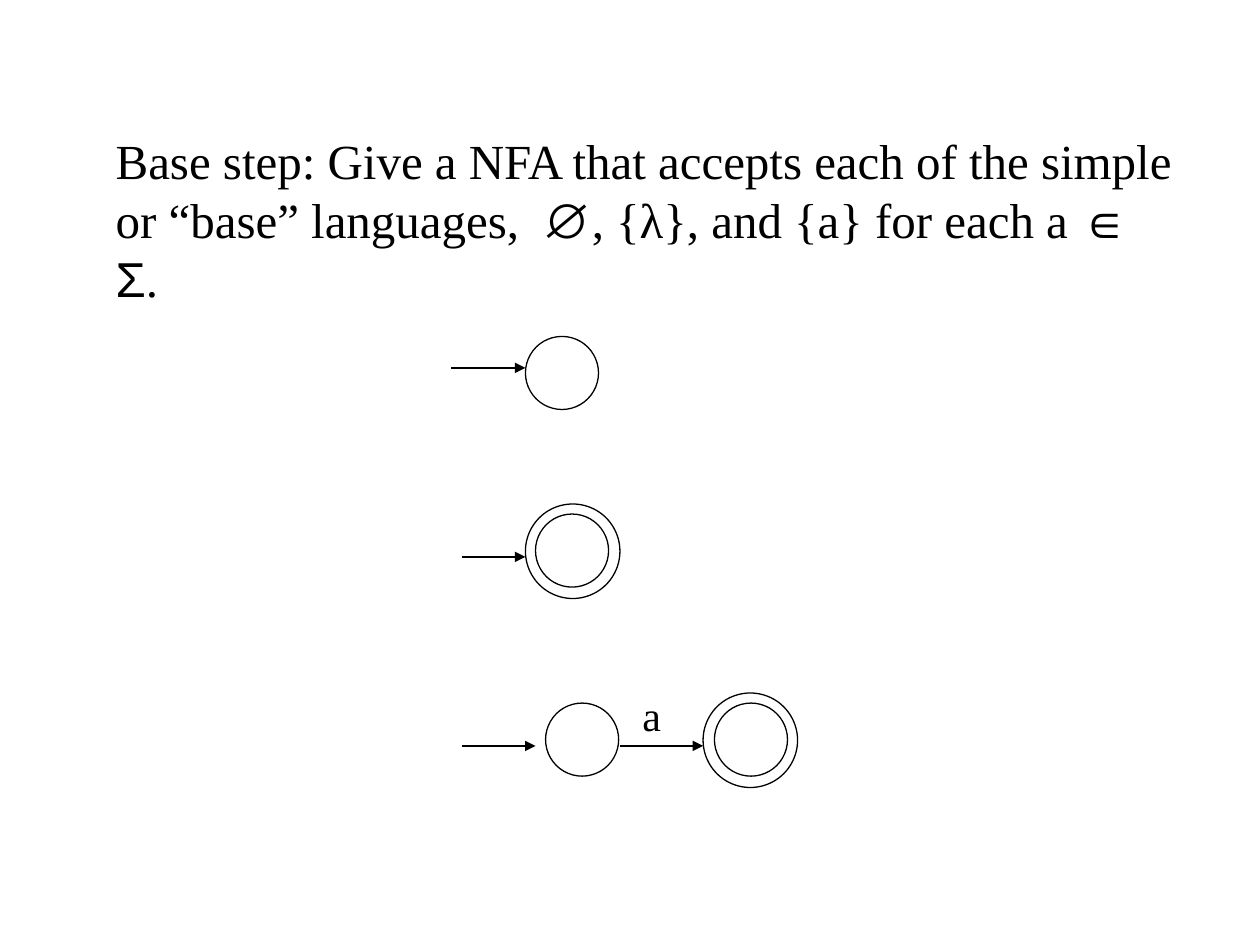
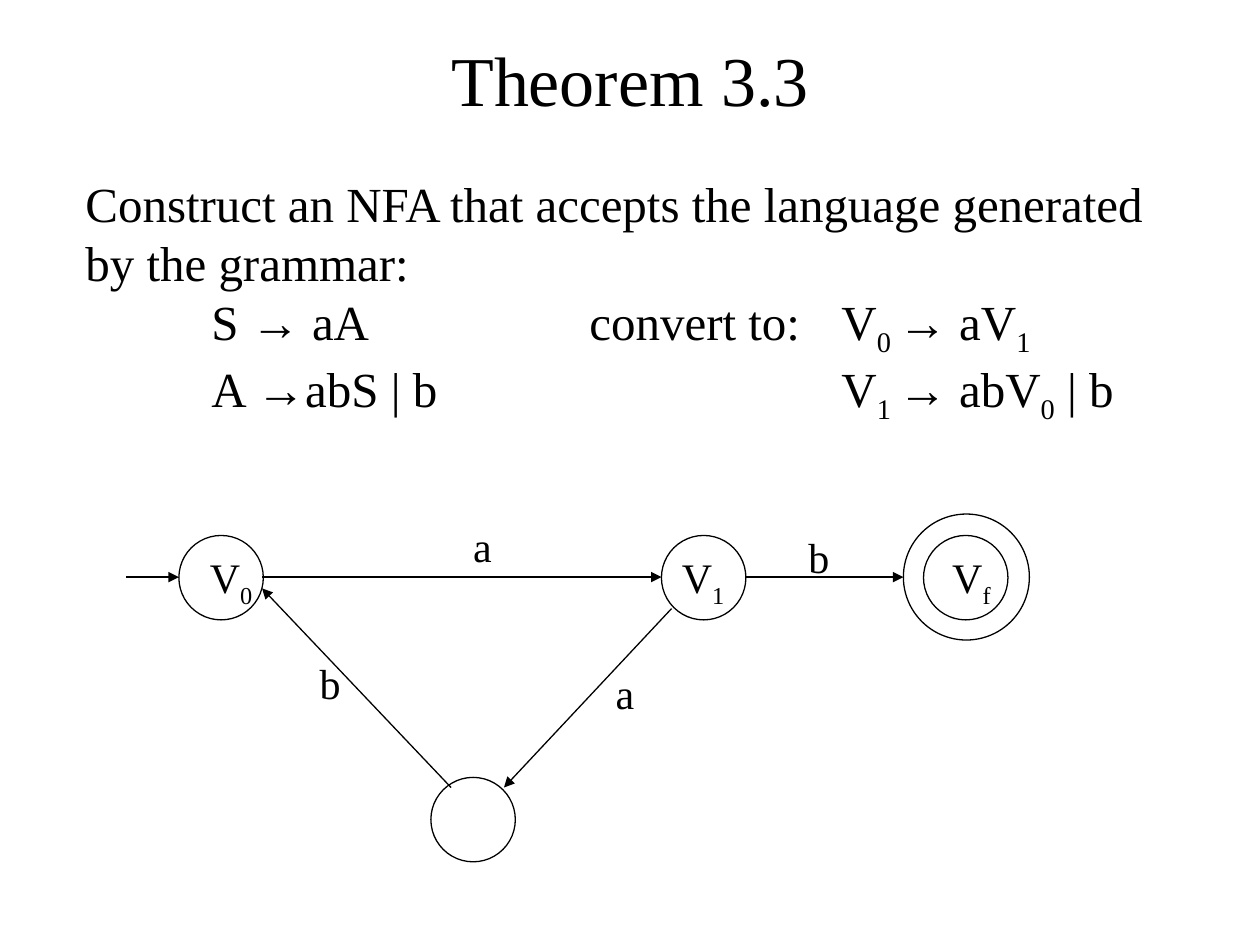
"""Build two slides that turn base languages and a grammar into NFAs."""
import lxml.etree
import pptx
import pptx.dml.color
import pptx.enum.shapes
import pptx.enum.text
import pptx.oxml.ns
import pptx.util

Inches = pptx.util.Inches
Pt = pptx.util.Pt
qn = pptx.oxml.ns.qn
ALIGN = pptx.enum.text.PP_ALIGN
BLACK, WHITE = "000000", "FFFFFF"
SERIF, SYMBOL = "Times New Roman", "Arial"
STATE = 0.67
SMALL_STATE = 0.58


def paint(fill, hex_colour):
    fill.solid()
    fill.fore_color.rgb = pptx.dml.color.RGBColor.from_string(hex_colour)


def write(paragraph, runs, size, align=ALIGN.LEFT):
    paragraph.alignment = align
    for text, style in runs:
        run = paragraph.add_run()
        run.text = text
        font_format = {"size": Pt(size), "name": SYMBOL if style == "symbol" else SERIF}
        for attribute, value in font_format.items():
            setattr(run.font, attribute, value)
        paint(run.font.fill, BLACK)
        if style == "sub":
            run.font._element.set("baseline", "-25000")


prs = pptx.Presentation()
prs.slide_width, prs.slide_height = Inches(10), Inches(7.5)
base_slide = prs.slides.add_slide(prs.slide_layouts[6])
theorem_slide = prs.slides.add_slide(prs.slide_layouts[5])

title = theorem_slide.shapes.title
title_place = {"left": 0.75, "top": 0, "width": 8.5, "height": 1.25}
for attribute, value in title_place.items():
    setattr(title, attribute, Inches(value))
title.text_frame.vertical_anchor = pptx.enum.text.MSO_ANCHOR.MIDDLE
write(title.text_frame.paragraphs[0], [("Theorem 3.3", "")], 40, ALIGN.CENTER)

states = [
    (base_slide, 4.17, 2.67, SMALL_STATE, None),
    (base_slide, 4.25, 4.08, SMALL_STATE, None),
    (base_slide, 4.17, 4, 0.75, None),
    (base_slide, 4.33, 5.58, SMALL_STATE, None),
    (base_slide, 5.67, 5.58, SMALL_STATE, None),
    (base_slide, 5.58, 5.5, 0.75, None),
    (theorem_slide, 1.42, 4.25, STATE, WHITE),
    (theorem_slide, 5.25, 4.25, STATE, WHITE),
    (theorem_slide, 7.33, 4.25, STATE, WHITE),
    (theorem_slide, 3.42, 6.17, STATE, WHITE),
    (theorem_slide, 7.17, 4.08, 1, None),
]
for slide, left, top, diameter, colour in states:
    state = slide.shapes.add_shape(
        pptx.enum.shapes.MSO_SHAPE.OVAL,
        Inches(left), Inches(top), Inches(diameter), Inches(diameter))
    state.shadow.inherit = False
    if colour:
        paint(state.fill, colour)
    else:
        state.fill.background()
    paint(state.line.fill, BLACK)
    state.line.width = Pt(0.75)

transitions = [
    (base_slide, 3.58, 2.92, 4.17, 2.92),
    (base_slide, 3.67, 4.42, 4.17, 4.42),
    (base_slide, 3.67, 5.92, 4.25, 5.92),
    (base_slide, 4.92, 5.92, 5.58, 5.92),
    (theorem_slide, 1, 4.58, 1.42, 4.58),
    (theorem_slide, 2.08, 4.58, 5.25, 4.58),
    (theorem_slide, 5.92, 4.58, 7.17, 4.58),
    (theorem_slide, 5.33, 4.83, 4, 6.25),
    (theorem_slide, 3.58, 6.25, 2.08, 4.67),
]
for slide, *ends in transitions:
    transition = slide.shapes.add_connector(
        pptx.enum.shapes.MSO_CONNECTOR.STRAIGHT, *map(Inches, ends))
    paint(transition.line.fill, BLACK)
    transition.line.width = Pt(0.75)
    outline = transition.line._get_or_add_ln()
    lxml.etree.SubElement(outline, qn("a:tailEnd"), type="triangle")
    lxml.etree.SubElement(transition._element.spPr, qn("a:effectLst"))

base_step = [
    [("Base step: Give a NFA that accepts each of the simple", "")],
    [("or “base” languages,\t", ""), ("∅", "symbol"),
     (", {λ}, and {a} for each a ", ""), ("∈ Σ", "symbol"), (".", "")],
]
grammar = [
    [("Construct an NFA that accepts the language generated by the grammar:", "")],
    [("\tS ", ""), ("→", "symbol"), (" aA\t\tconvert to:\tV", ""), ("0 ", "sub"),
     ("→", "symbol"), (" aV", ""), ("1", "sub")],
    [("\tA ", ""), ("→", "symbol"), ("abS | b\t\t\t\tV", ""), ("1 ", "sub"),
     ("→", "symbol"), (" abV", ""), ("0", "sub"), (" | b", "")],
]
EVERY_INCH = range(1, 8)
texts = [
    (base_slide, (0.82, 0.99, 8.63, 1.04), base_step, 28, ALIGN.LEFT, [3.39]),
    (base_slide, (5, 5.42, 0.35, 0.5), [[("a", "")]], 24, ALIGN.LEFT, []),
    (theorem_slide, (0.58, 1.33, 8.75, 2.1), grammar, 28, ALIGN.LEFT, EVERY_INCH),
]
for left, width, index in [(1.42, 0.83, "0"), (5.08, 1, "1"), (7.17, 1.08, "f")]:
    texts.append((theorem_slide, (left, 4.33, width, 0.56),
                  [[("V", ""), (index, "sub")]], 24, ALIGN.CENTER, []))
for left, top, width, symbol in [(3.33, 4.08, 1, "a"), (6, 4.17, 1, "b"),
                                 (2.08, 5.17, 1.08, "b"), (4.42, 5.25, 1.08, "a")]:
    texts.append((theorem_slide, (left, top, width, 0.5),
                  [[(symbol, "")]], 24, ALIGN.CENTER, []))

for slide, place, lines, size, align, tab_stops in texts:
    frame = slide.shapes.add_textbox(*map(Inches, place)).text_frame
    frame_format = {"word_wrap": place[2] > 0.5,
                    "auto_size": pptx.enum.text.MSO_AUTO_SIZE.SHAPE_TO_FIT_TEXT}
    for attribute, value in frame_format.items():
        setattr(frame, attribute, value)
    for number, runs in enumerate(lines):
        paragraph = frame.add_paragraph() if number else frame.paragraphs[0]
        if tab_stops:
            tab_list = lxml.etree.SubElement(
                paragraph._p.get_or_add_pPr(), qn("a:tabLst"))
            for stop in tab_stops:
                lxml.etree.SubElement(
                    tab_list, qn("a:tab"), pos=str(Inches(stop)), algn="l")
        write(paragraph, runs, size, align)

prs.save("out.pptx")
